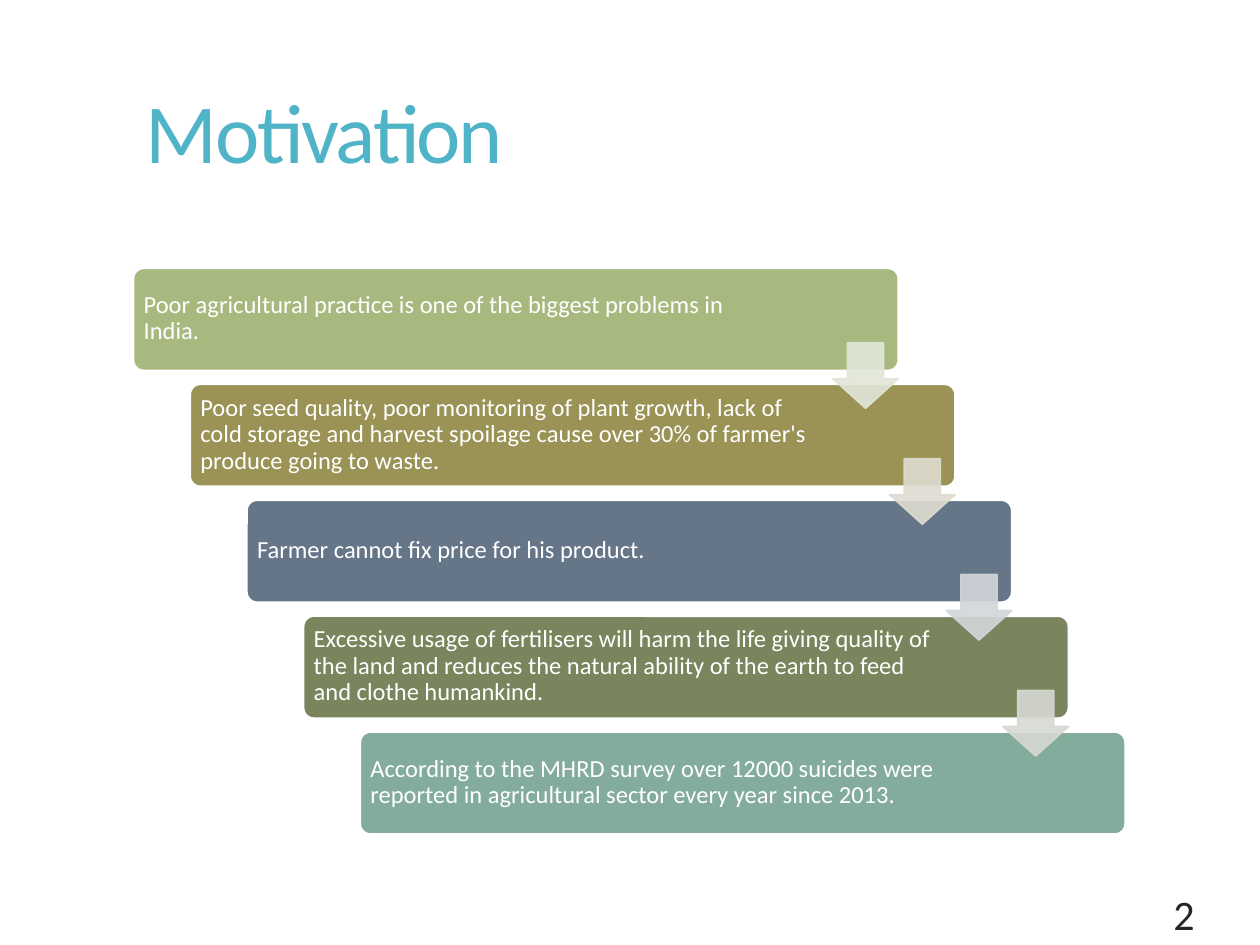
from pptx import Presentation
from pptx.dml.color import RGBColor
from pptx.enum.shapes import MSO_SHAPE as SHAPE
from pptx.enum.text import MSO_ANCHOR as ANCHOR, PP_ALIGN as ALIGN
from pptx.oxml.ns import qn
from pptx.util import Inches, Pt
from lxml.etree import SubElement

COLORS = {
    "title": "50B4C8", "white": "FFFFFF", "number": "262626",
    "green": "A8B97F", "olive": "9B9256", "slate": "657689",
    "moss": "7A855D", "teal": "84AC9D",
    "pale_green": "E1E6D8", "pale_olive": "DEDCD1",
    "pale_slate": "D3D6DA", "pale_moss": "D7D9D2",
}
STEPS = [
    ("green", "Poor agricultural practice is one of the biggest problems in India."),
    ("olive", "Poor seed quality, poor monitoring of plant growth, lack of cold storage "
              "and harvest spoilage cause over 30% of farmer's produce going to waste."),
    ("slate", "Farmer cannot fix price for his product."),
    ("moss", "Excessive usage of fertilisers will harm the life giving quality of the land "
             "and reduces the natural ability of the earth to feed and clothe humankind."),
    ("teal", "According to the MHRD survey over 12000 suicides were reported in "
             "agricultural sector every year since 2013."),
]
ARROWS = ["pale_green", "pale_olive", "pale_slate", "pale_moss"]
STEP_X, STEP_Y = 0.45, 0.92


class Deck:
    """Draws styled elements on the current slide."""

    font = "Calibri"

    def __init__(self, prs):
        self.s = prs.slides.add_slide(prs.slide_layouts[6])

    def text(self, x, y, w, h, text, size, color, anchor=ANCHOR.TOP,
             align=ALIGN.LEFT, spacing=1.0, inset=None, kern=None):
        tf = self.s.shapes.add_textbox(Inches(x), Inches(y), Inches(w), Inches(h)).text_frame
        tf.word_wrap = True
        tf.vertical_anchor = anchor
        if inset is not None:
            tf.margin_left = tf.margin_right = Inches(inset)
            tf.margin_top = tf.margin_bottom = Inches(inset)
        p = tf.paragraphs[0]
        p.alignment = align
        p.line_spacing = spacing
        r = p.add_run()
        r.text = text
        r.font.name = self.font
        r.font.size = Pt(size)
        r.font.color.rgb = RGBColor.from_string(COLORS[color])
        if kern is not None:
            r.font._element.set("spc", str(kern))

    def shape(self, kind, x, y, w, h, fill, line, adjustments, alpha=None):
        sp = self.s.shapes.add_shape(kind, Inches(x), Inches(y), Inches(w), Inches(h))
        sp.shadow.inherit = False
        for i, value in enumerate(adjustments):
            sp.adjustments[i] = value
        sp.fill.solid()
        sp.fill.fore_color.rgb = RGBColor.from_string(COLORS[fill])
        sp.line.color.rgb = RGBColor.from_string(COLORS[line])
        sp.line.width = Pt(1)
        if alpha is not None:
            for clr in sp._element.spPr.iter(qn("a:srgbClr")):
                SubElement(clr, qn("a:alpha")).set("val", str(alpha * 1000))

    def step(self, i, color, text):
        x, y = 1.06 + i * STEP_X, 2.13 + i * STEP_Y
        self.shape(SHAPE.ROUNDED_RECTANGLE, x, y, 6.07, 0.81, color, "white", [0.1])
        self.text(x + 0.02, y + 0.02, 5.05, 0.76, text, 14, "white",
                  ANCHOR.MIDDLE, spacing=0.9, inset=0.06)

    def arrow(self, i, color):
        self.shape(SHAPE.DOWN_ARROW, 6.61 + i * STEP_X, 2.72 + i * STEP_Y,
                   0.52, 0.52, color, color, [0.55, 0.45], alpha=90)


def main():
    prs = Presentation()
    prs.slide_width, prs.slide_height = Inches(10), Inches(7.5)
    deck = Deck(prs)
    deck.text(1.06, 0.67, 8.36, 1.2, "Motivation", 48, "title", spacing=0.9, kern=-120)
    for i, (color, text) in enumerate(STEPS):
        deck.step(i, color, text)
    for i, color in enumerate(ARROWS):
        deck.arrow(i, color)
    deck.text(7.18, 5.97, 2.4, 1.53, "2", 24, "number", ANCHOR.BOTTOM, ALIGN.RIGHT)
    prs.save("out.pptx")


if __name__ == "__main__":
    main()
